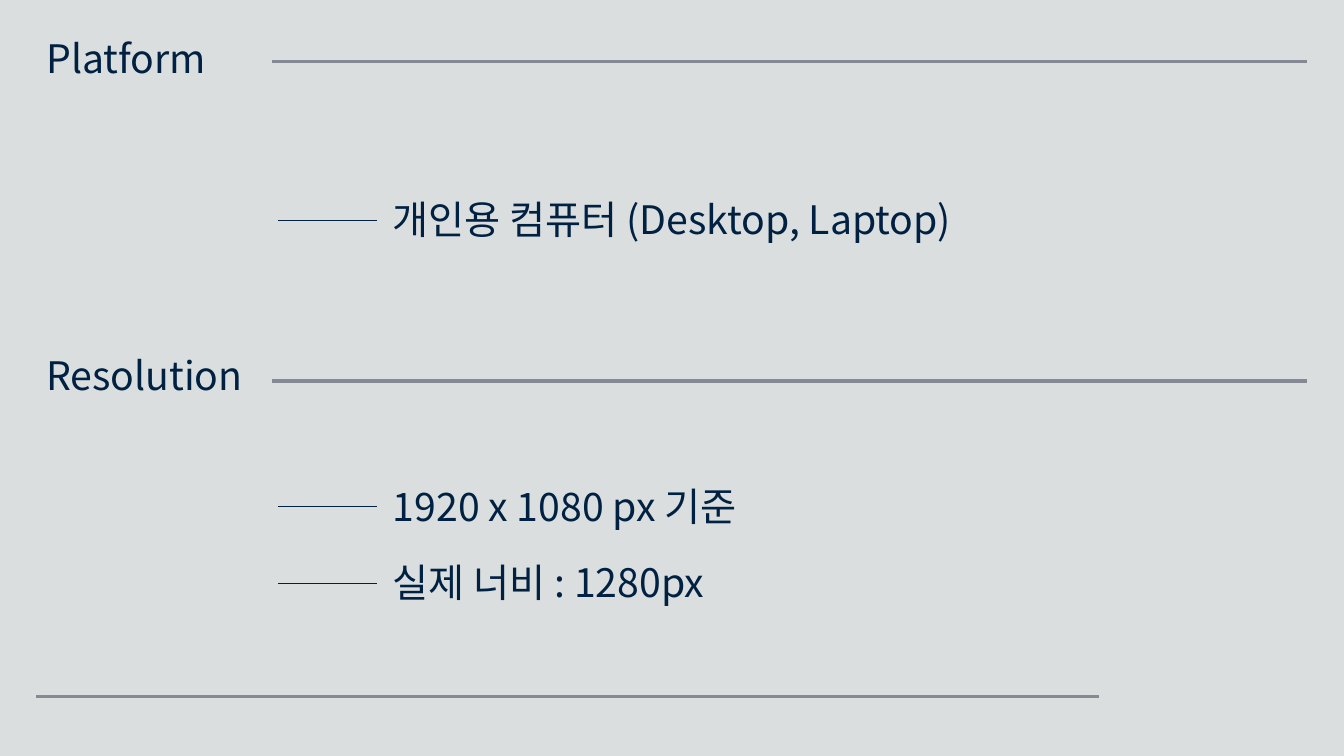
import lxml.etree
import pptx
import pptx.dml.color
import pptx.enum.shapes
import pptx.enum.text
import pptx.oxml.ns
from pptx.util import Pt

NAVY = pptx.dml.color.RGBColor(0x00, 0x21, 0x42)
GRAY = pptx.dml.color.RGBColor(0x85, 0x89, 0x93)
BACKGROUND = pptx.dml.color.RGBColor(0xDA, 0xDE, 0xDE)
FONT_NAME = "Noto Sans CJK KR"
FONT_FORMAT = {"name": FONT_NAME, "size": Pt(28), "bold": False}
FRAME_FORMAT = {
    "word_wrap": True,
    "auto_size": pptx.enum.text.MSO_AUTO_SIZE.NONE,
    "vertical_anchor": pptx.enum.text.MSO_ANCHOR.MIDDLE,
}


def write_text(shape, text):
    for name, value in FRAME_FORMAT.items():
        setattr(shape.text_frame, name, value)
    paragraph = shape.text_frame.paragraphs[0]
    paragraph.alignment = pptx.enum.text.PP_ALIGN.LEFT
    run = paragraph.add_run()
    run.text = text
    for name, value in FONT_FORMAT.items():
        setattr(run.font, name, value)
    run.font.color.rgb = NAVY
    # Korean letters take their font from the East Asian setting
    east_asian = lxml.etree.SubElement(run.font._element, pptx.oxml.ns.qn("a:ea"))
    east_asian.set("typeface", FONT_NAME)


def add_rule(slide, left, right, top, color, width):
    connector = slide.shapes.add_connector(
        pptx.enum.shapes.MSO_CONNECTOR.STRAIGHT,
        Pt(left), Pt(top), Pt(right), Pt(top))
    connector.line.color.rgb = color
    connector.line.width = Pt(width)
    lxml.etree.SubElement(connector._element.spPr, pptx.oxml.ns.qn("a:effectLst"))


presentation = pptx.Presentation()
presentation.slide_width = Pt(960)
presentation.slide_height = Pt(540)
slide = presentation.slides.add_slide(presentation.slide_layouts[5])
slide.background.fill.solid()
slide.background.fill.fore_color.rgb = BACKGROUND

# Title: first section heading
title = slide.shapes.title
title_place = {"left": Pt(26), "top": Pt(13.7), "width": Pt(158), "height": Pt(54.7)}
for name, value in title_place.items():
    setattr(title, name, value)
write_text(title, "Platform")

# Second section heading
resolution = slide.shapes.add_textbox(Pt(26), Pt(240.5), Pt(173), Pt(54.7))
write_text(resolution, "Resolution")

# Entries, each led by a short dash
entries = [
    ("개인용 컴퓨터 (Desktop, Laptop)", 157.5),
    ("1920 x 1080 px 기준", 362),
    ("실제 너비 : 1280px", 416.9),
]
ENTRY_HEIGHT = 64
for text, middle in entries:
    entry = slide.shapes.add_textbox(
        Pt(273.6), Pt(middle - 1 - ENTRY_HEIGHT / 2), Pt(513.4), Pt(ENTRY_HEIGHT))
    write_text(entry, text)
    add_rule(slide, 198.7, 269.3, middle, NAVY, 1)

# Section rules and closing rule
for left, right, top, width in [
    (194.4, 933.8, 43.9, 2.25),
    (194.4, 933.8, 272.2, 2.25),
    (26, 784.8, 497.5, 2),
]:
    add_rule(slide, left, right, top, GRAY, width)

presentation.save("out.pptx")
